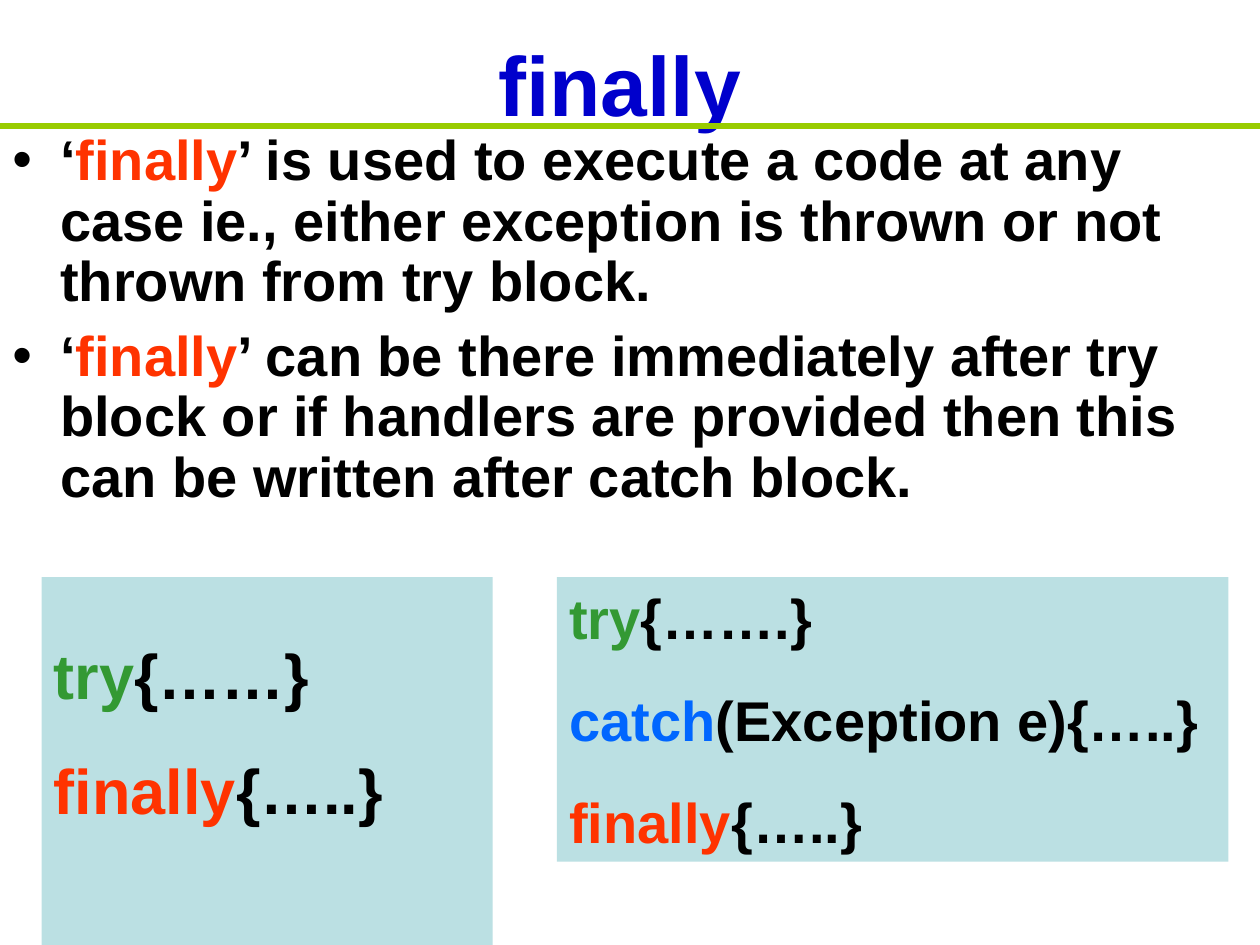
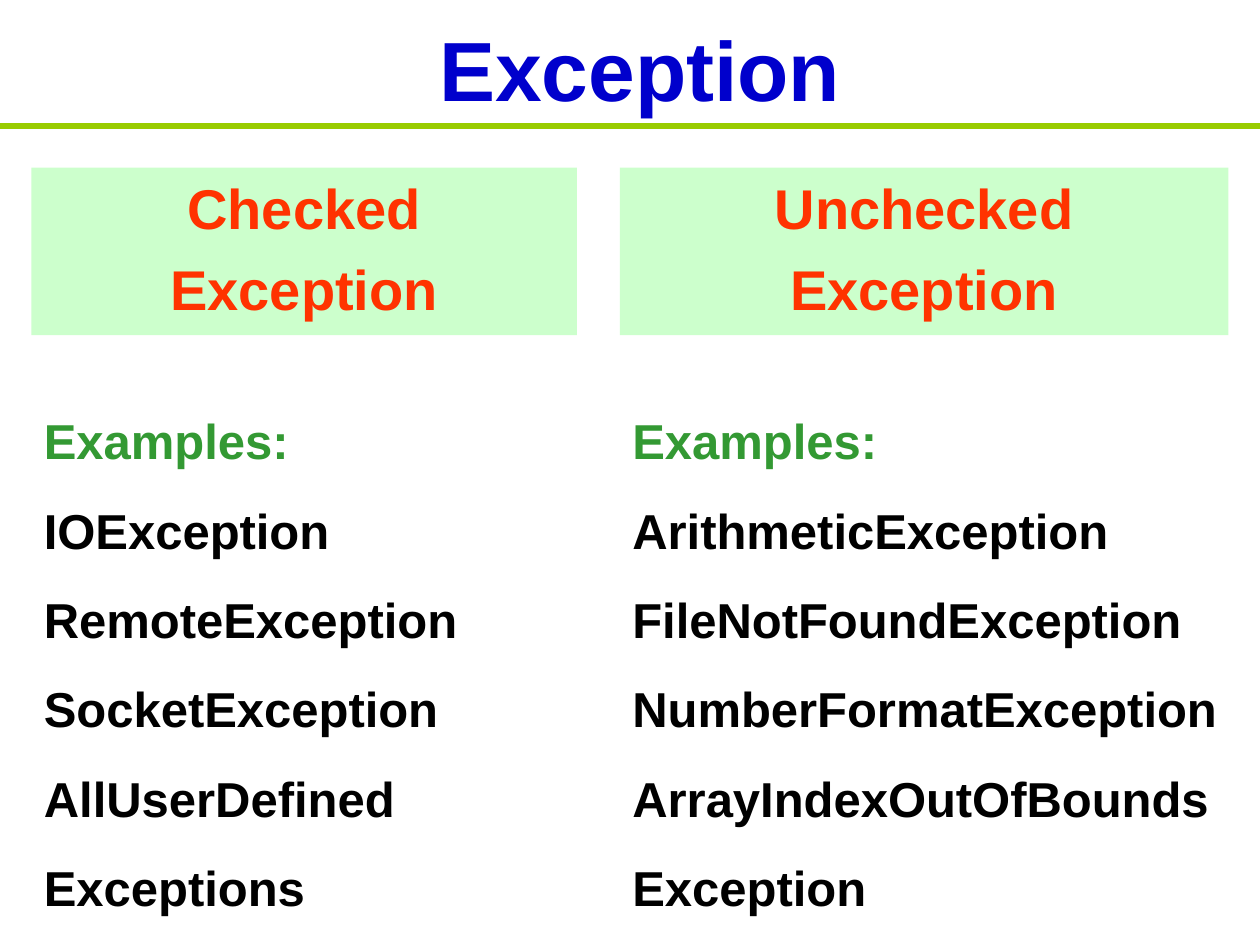
from lxml import etree
from pptx import Presentation
from pptx import util as u
from pptx.dml.color import RGBColor
from pptx.enum import shapes, text
from pptx.oxml import ns

BLUE, GREEN, RED, SKY, BLACK = "0000CC", "339933", "FF3300", "0066FF", "000000"
LIME, PALE_BLUE, PALE_GREEN = "99CC00", "BBE0E3", "CCFFCC"
LEFT, CENTER = text.PP_ALIGN.LEFT, text.PP_ALIGN.CENTER


def colour(value):
    return RGBColor.from_string(value)


def add_text(page, place, paras, size, before=0, align=LEFT, fill=None):
    place = [u.Inches(length) for length in place]
    if fill:
        box = page.shapes.add_shape(shapes.MSO_SHAPE.RECTANGLE, *place)
        box.shadow.inherit = False
        box.fill.solid()
        box.fill.fore_color.rgb = colour(fill)
        box.line.fill.background()
    else:
        box = page.shapes.add_textbox(*place)
    frame = box.text_frame
    frame.word_wrap = True
    frame.vertical_anchor = text.MSO_ANCHOR.TOP
    for index, spans in enumerate(paras):
        para = frame.add_paragraph() if index else frame.paragraphs[0]
        para.alignment = align
        para.space_before = u.Pt(before)
        para.font.name = "Arial"
        para.font.size = u.Pt(size)
        para.font.bold = True
        for words, shade in spans:
            span = para.add_run()
            span.text = words
            span.font.color.rgb = colour(shade)
    return box


deck = Presentation()
deck.slide_width = u.Inches(10)
deck.slide_height = u.Inches(7.5)

pages = []
for title, place in [
    ("finally", (0.42, 0.17, 9, 0.97)),
    ("Exception", (0.58, 0, 9, 1.08)),
]:
    page = deck.slides.add_slide(deck.slide_layouts[6])
    heading = add_text(page, place, [[(title, BLUE)]], 48, align=CENTER)
    heading.text_frame.vertical_anchor = text.MSO_ANCHOR.MIDDLE
    rule = page.shapes.add_connector(
        shapes.MSO_CONNECTOR.STRAIGHT, 0, u.Inches(1), u.Inches(10), u.Inches(1)
    )
    rule.line.color.rgb = colour(LIME)
    rule.line.width = u.Pt(3)
    etree.SubElement(rule._element.spPr, ns.qn("a:effectLst"))
    pages.append(page)

finally_page, exception_page = pages

rules = [
    "’ is used to execute a code at any case ie., either exception is thrown "
    "or not thrown from try block.",
    "’ can be there immediately after try block or if handlers are provided "
    "then this can be written after catch block.",
]
body = add_text(
    finally_page,
    (0, 1, 10, 3.33),
    [[("‘", BLACK), ("finally", RED), (words, BLACK)] for words in rules],
    32,
    before=8,
)
for para in body.text_frame.paragraphs:
    para.line_spacing = 0.9
    props = para._p.get_or_add_pPr()
    props.set("marL", str(u.Inches(0.38)))
    props.set("indent", str(u.Inches(-0.38)))
    bullet_colour = etree.SubElement(props, ns.qn("a:buClr"))
    etree.SubElement(bullet_colour, ns.qn("a:srgbClr"), val=BLACK)
    etree.SubElement(props, ns.qn("a:buFont"), typeface="Arial")
    etree.SubElement(props, ns.qn("a:buChar"), char="•")
    props.append(props.find(ns.qn("a:defRPr")))

finally_line = [("finally", RED), ("{…..}", BLACK)]
try_finally = add_text(
    finally_page,
    (0.33, 4.58, 3.58, 2.96),
    [[("try", GREEN), ("{……}", BLACK)], finally_line],
    36,
    before=22.5,
    fill=PALE_BLUE,
)
try_finally.text_frame.margin_top = u.Inches(0.47)
add_text(
    finally_page,
    (4.42, 4.58, 5.33, 2.26),
    [
        [("try", GREEN), ("{…….}", BLACK)],
        [("catch", SKY), ("(Exception e){…..}", BLACK)],
        finally_line,
    ],
    32,
    before=20,
    fill=PALE_BLUE,
)

columns = [
    (0.25, 4.33, 4.33, "Checked", [
        "IOException", "RemoteException", "SocketException",
        "AllUserDefined", "Exceptions",
    ]),
    (4.92, 4.83, 5.08, "Unchecked", [
        "ArithmeticException", "FileNotFoundException",
        "NumberFormatException", "ArrayIndexOutOfBounds", "Exception",
    ]),
]
for left, band_width, list_width, kind, examples in columns:
    add_text(
        exception_page,
        (left, 1.33, band_width, 1.33),
        [[(kind, RED)], [("Exception", RED)]],
        32,
        before=8,
        align=CENTER,
        fill=PALE_GREEN,
    )
    add_text(
        exception_page,
        (left, 3.21, list_width, 4.12),
        [[("Examples:", GREEN)]] + [[(name, BLACK)] for name in examples],
        28,
        before=17.5,
    )

deck.save("out.pptx")
